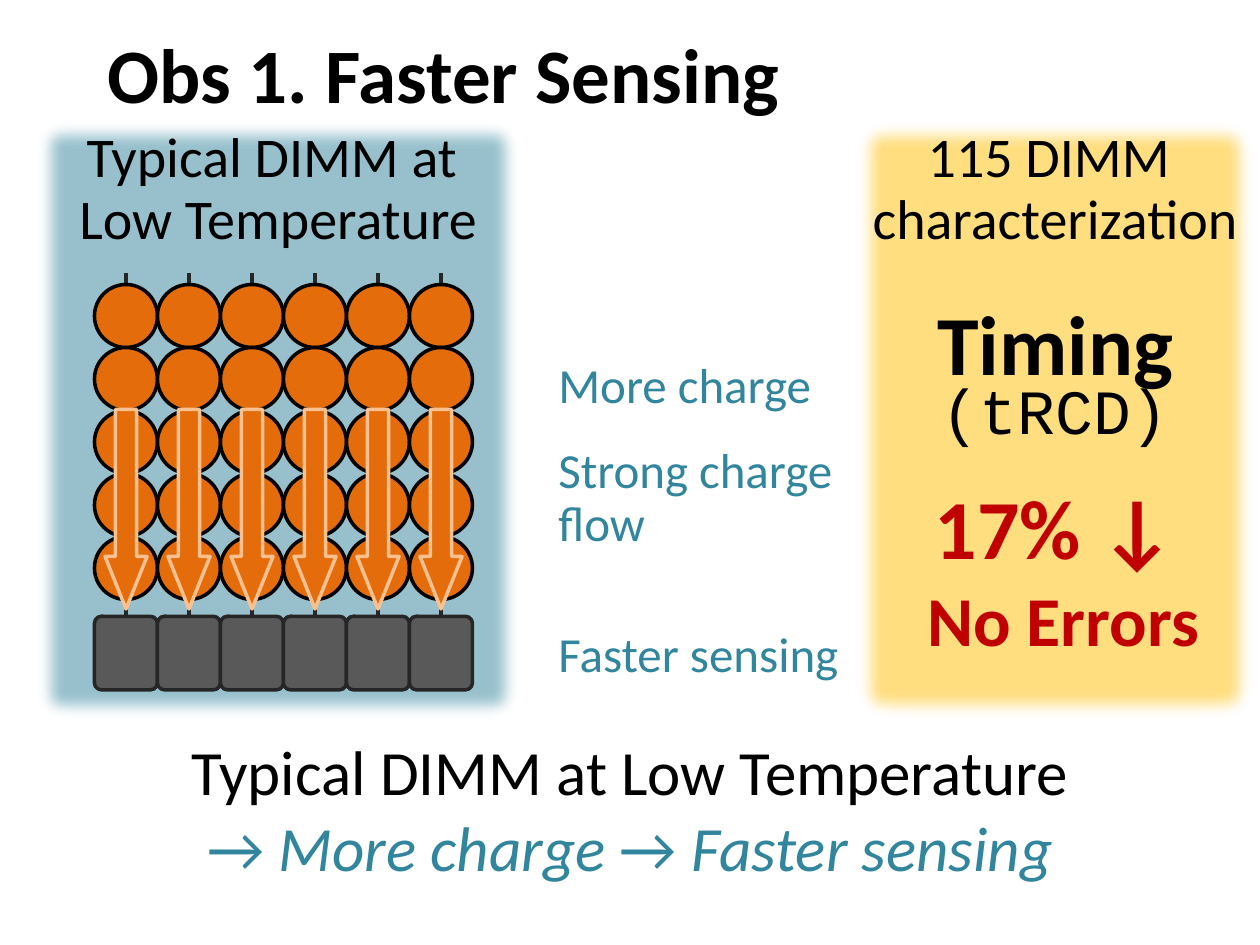
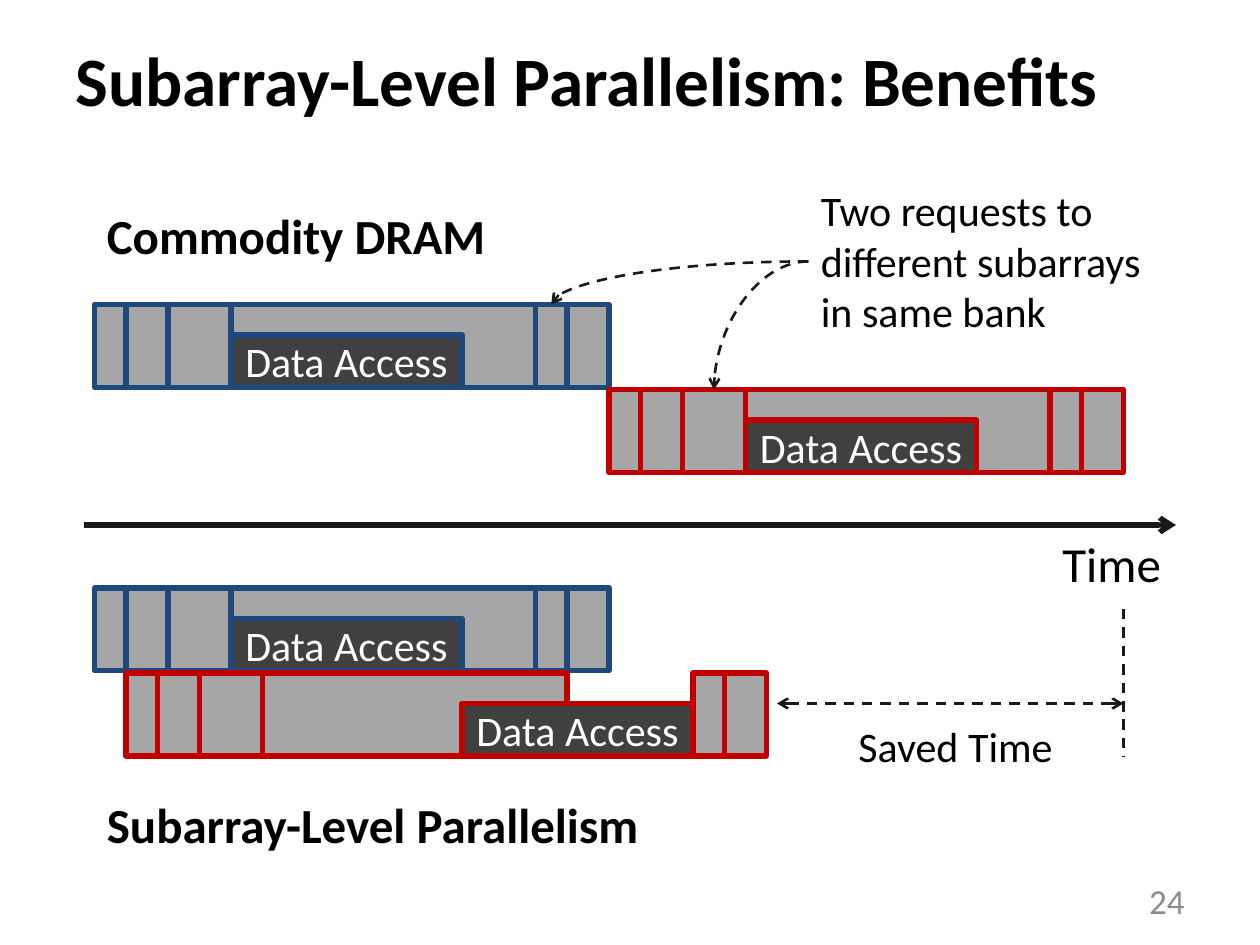
import dataclasses

import lxml.etree
import pptx
import pptx.dml.color
import pptx.enum.dml
import pptx.enum.shapes
import pptx.enum.text
import pptx.oxml.ns
import pptx.util

PX = 7620
SHAPE = pptx.enum.shapes.MSO_SHAPE
CONNECTOR = pptx.enum.shapes.MSO_CONNECTOR
ALIGN = pptx.enum.text.PP_ALIGN
ANCHOR = pptx.enum.text.MSO_ANCHOR
qn = pptx.oxml.ns.qn


@dataclasses.dataclass(frozen=True)
class Theme:
    font: str = "Calibri"
    mono: str = "Courier New"
    black: str = "000000"
    white: str = "FFFFFF"
    teal: str = "31859C"
    amber: str = "FFC000"
    blue: str = "4F81BD"
    navy: str = "1F497D"
    red: str = "C00000"
    charge: str = "E46C0A"
    flow: str = "FAC090"
    sense_amp: str = "595959"
    wire: str = "262626"
    ink: str = "1A1A1A"
    segment: str = "A6A6A6"
    access: str = "404040"
    muted: str = "8C8C8C"
    page: float = 20
    body: float = 24
    label: float = 28
    heading: float = 32
    summary: float = 36
    strong: float = 40
    figure: float = 48
    title: float = 44
    title_long: float = 39.6


THEME = Theme()


def write(holder, *paragraphs, box=None, anchor=ANCHOR.MIDDLE, wrap=True, margin_top=6, **base):
    if box:
        holder = holder.add_textbox(*(v * PX for v in box))
    frame = holder.text_frame
    frame.auto_size = pptx.enum.text.MSO_AUTO_SIZE.NONE
    frame.word_wrap = wrap
    frame.vertical_anchor = anchor
    frame.margin_top = margin_top * PX
    for index, content in enumerate(paragraphs):
        runs = [(content, {})] if isinstance(content, str) else content
        paragraph = frame.add_paragraph() if index else frame.paragraphs[0]
        layout = {**base, **runs[0][1]}
        paragraph.alignment = layout.get("align", ALIGN.LEFT)
        paragraph.line_spacing = layout.get("spacing", 1.0)
        paragraph.space_before = pptx.util.Pt(layout.get("before", 0))
        for words, changes in runs:
            look = {**base, **changes}
            run = paragraph.add_run()
            run.text = words
            run.font.name = look.get("font", THEME.font)
            run.font.size = pptx.util.Pt(look["size"])
            run.font.bold = look.get("bold", False)
            run.font.italic = look.get("italic", False)
            run.font.color.rgb = pptx.dml.color.RGBColor.from_string(look.get("color", THEME.black))


def draw(shapes, kind, box, color, weight, fill=None, soft=False, dash=False, head=False, tail=False):
    box = [v * PX for v in box]
    if isinstance(kind, CONNECTOR):
        part = shapes.add_connector(kind, *box)
    else:
        part = shapes.add_shape(kind, *box)
        part.fill.solid()
        part.fill.fore_color.rgb = pptx.dml.color.RGBColor.from_string(fill)
    part.line.color.rgb = pptx.dml.color.RGBColor.from_string(color)
    part.line.width = pptx.util.Pt(weight)
    if dash:
        part.line.dash_style = pptx.enum.dml.MSO_LINE.DASH
    properties = part.element.spPr
    outline = properties.find(qn("a:ln"))
    for tag, wanted in (("a:headEnd", head), ("a:tailEnd", tail)):
        if wanted:
            lxml.etree.SubElement(outline, qn(tag), type="arrow")
    effects = lxml.etree.SubElement(properties, qn("a:effectLst"))
    if soft:
        lxml.etree.SubElement(effects, qn("a:softEdge"), rad="127000")
        shade = properties.find(qn("a:solidFill")).find(qn("a:srgbClr"))
        lxml.etree.SubElement(shade, qn("a:alpha"), val="50000")
    return part


deck = pptx.Presentation()
deck.slide_width = 1200 * PX
deck.slide_height = 900 * PX

slides = []
for heading, box, size, anchor, spacing in (
    ("Obs 1. Faster Sensing", (90, 20, 1110, 100), THEME.title, ANCHOR.BOTTOM, 0.9),
    ("Subarray-Level Parallelism: Benefits", (60, 0, 1060, 150), THEME.title_long, ANCHOR.MIDDLE, 1.0),
):
    slide = deck.slides.add_slide(deck.slide_layouts[5])
    title = slide.shapes.title
    title.left, title.top, title.width, title.height = (v * PX for v in box)
    write(title, heading, size=size, bold=True, anchor=anchor, spacing=spacing)
    slides.append(slide.shapes)
sensing, benefits = slides

draw(sensing, SHAPE.RECTANGLE, (30, 110, 470, 580), THEME.teal, 2, THEME.teal, soft=True)
write(sensing, "Typical DIMM at ", "Low Temperature", box=(20, 110, 490, 140),
      size=THEME.heading, align=ALIGN.CENTER, spacing=pptx.util.Pt(35))

cell = 60
columns = [90 + cell * i for i in range(6)]
for left in columns:
    sense_amp = draw(sensing, SHAPE.ROUNDED_RECTANGLE, (left, 587, cell, 70), THEME.wire, 2, THEME.sense_amp)
    sense_amp.adjustments[0] = 0.11
    middle = left + cell // 2
    bitline = draw(sensing, CONNECTOR.STRAIGHT, (middle, 260, middle, 587), THEME.wire, 2)
    bitline.end_connect(sense_amp, 0)
for row in range(5):
    for left in columns:
        draw(sensing, SHAPE.OVAL, (left, 271 + cell * row, cell, cell), THEME.black, 2, THEME.charge)
for left in columns:
    charge_flow = draw(sensing, SHAPE.DOWN_ARROW, (left + 10, 390, 40, 190), THEME.flow, 2, THEME.charge)
    charge_flow.adjustments[0] = 0.5
    charge_flow.adjustments[1] = 1.25

for lines, top, height, spacing in (
    (["More charge"], 331, 70, 1.0),
    (["Strong charge", "flow"], 420, 110, pptx.util.Pt(30)),
    (["Faster sensing"], 587, 70, 1.0),
):
    write(sensing, *lines, box=(520, top, 330, height), size=THEME.label, color=THEME.teal, spacing=spacing)

teal = {"color": THEME.teal}
teal_italic = {"color": THEME.teal, "italic": True}
write(sensing, "Typical DIMM at Low Temperature",
      [("→", teal), (" More charge ", teal_italic), ("→", teal), (" Faster sensing", teal_italic)],
      box=(0, 700, 1200, 140), size=THEME.summary, align=ALIGN.CENTER)

characterization = draw(sensing, SHAPE.RECTANGLE, (810, 110, 390, 580), THEME.blue, 2, THEME.amber, soft=True)
write(characterization, "Timing",
      [("(tRCD)", {"font": THEME.mono, "size": THEME.summary, "bold": False, "spacing": 0.7})],
      [("17% ↓", {"color": THEME.red, "before": 17})],
      [(" No Errors", {"color": THEME.red, "size": THEME.strong})],
      anchor=ANCHOR.TOP, margin_top=168, size=THEME.figure, bold=True, align=ALIGN.CENTER)
write(sensing, "115 DIMM ", "characterization", box=(810, 110, 390, 140),
      size=THEME.heading, align=ALIGN.CENTER, spacing=pptx.util.Pt(35))

write(benefits, "24", box=(860, 834, 280, 48), size=THEME.page, color=THEME.muted, align=ALIGN.RIGHT)
draw(benefits, CONNECTOR.STRAIGHT, (80, 500, 1120, 500), THEME.ink, 3, tail=True)

for left, top, color, access_offset, tail_offset in (
    (90, 290, THEME.navy, 130, 420),
    (580, 371, THEME.red, 130, 420),
    (90, 560, THEME.navy, 130, 420),
    (120, 641, THEME.red, 320, 540),
):
    segments = ((0, 30), (30, 40), (70, 60), (130, 290), (tail_offset, 30), (tail_offset + 30, 40))
    for offset, width in segments:
        draw(benefits, SHAPE.RECTANGLE, (left + offset, top, width, 79), color, 3, THEME.segment)
    access = draw(benefits, SHAPE.RECTANGLE, (left + access_offset, top + 29, 220, 50), color, 3, THEME.access)
    write(access, "Data Access", size=THEME.body, color=THEME.white, align=ALIGN.CENTER)

draw(benefits, CONNECTOR.STRAIGHT, (1070, 580, 1070, 721), THEME.ink, 1.5, dash=True)
draw(benefits, CONNECTOR.STRAIGHT, (740, 670, 1070, 670), THEME.ink, 1.5, dash=True, head=True, tail=True)

for words, box, bold in (
    ("Time", (1000, 502, 119, 68), False),
    ("Commodity DRAM", (90, 190, 389, 68), True),
    ("Subarray-Level Parallelism", (90, 751, 538, 68), True),
):
    write(benefits, words, box=box, size=THEME.label, bold=bold, anchor=ANCHOR.TOP, wrap=False)
write(benefits, "Saved Time", box=(790, 680, 240, 60), size=THEME.body, anchor=ANCHOR.TOP, align=ALIGN.CENTER)
write(benefits, "Two requests to different subarrays in same bank",
      box=(770, 170, 350, 157), size=THEME.body, anchor=ANCHOR.TOP)

for request_x, request_y in ((525, 290), (680, 371)):
    pointer = draw(benefits, CONNECTOR.CURVE, (770, 249, request_x, request_y), THEME.ink, 1.5, dash=True, tail=True)
    pointer.element.spPr.find(qn("a:prstGeom")).set("prst", "curvedConnector2")

deck.save("out.pptx")
